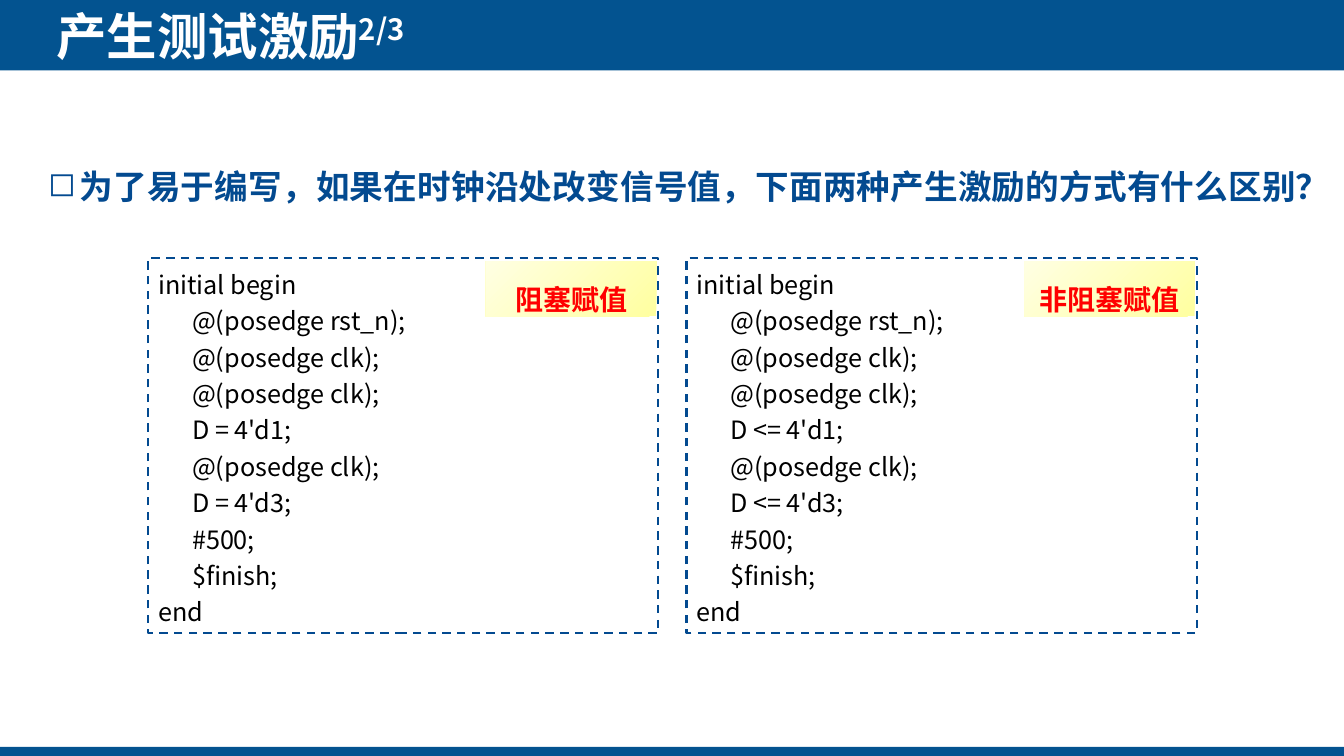
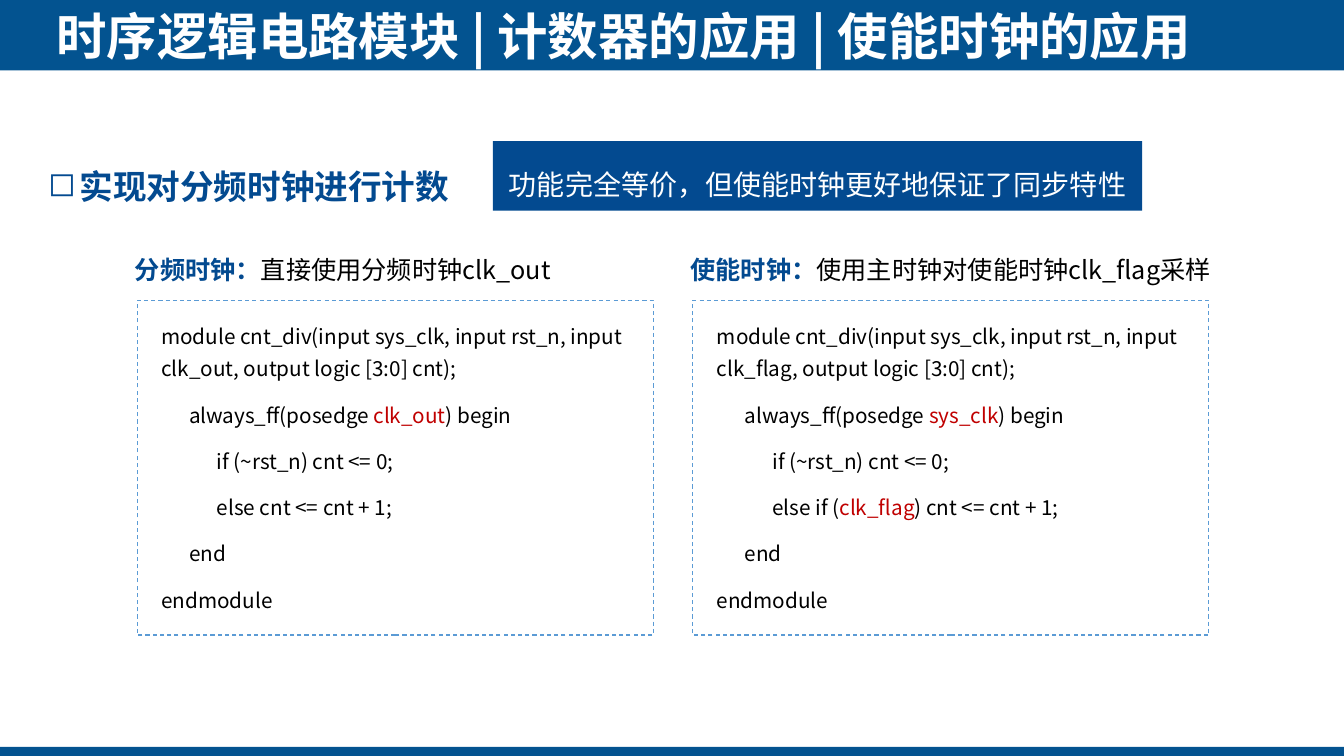
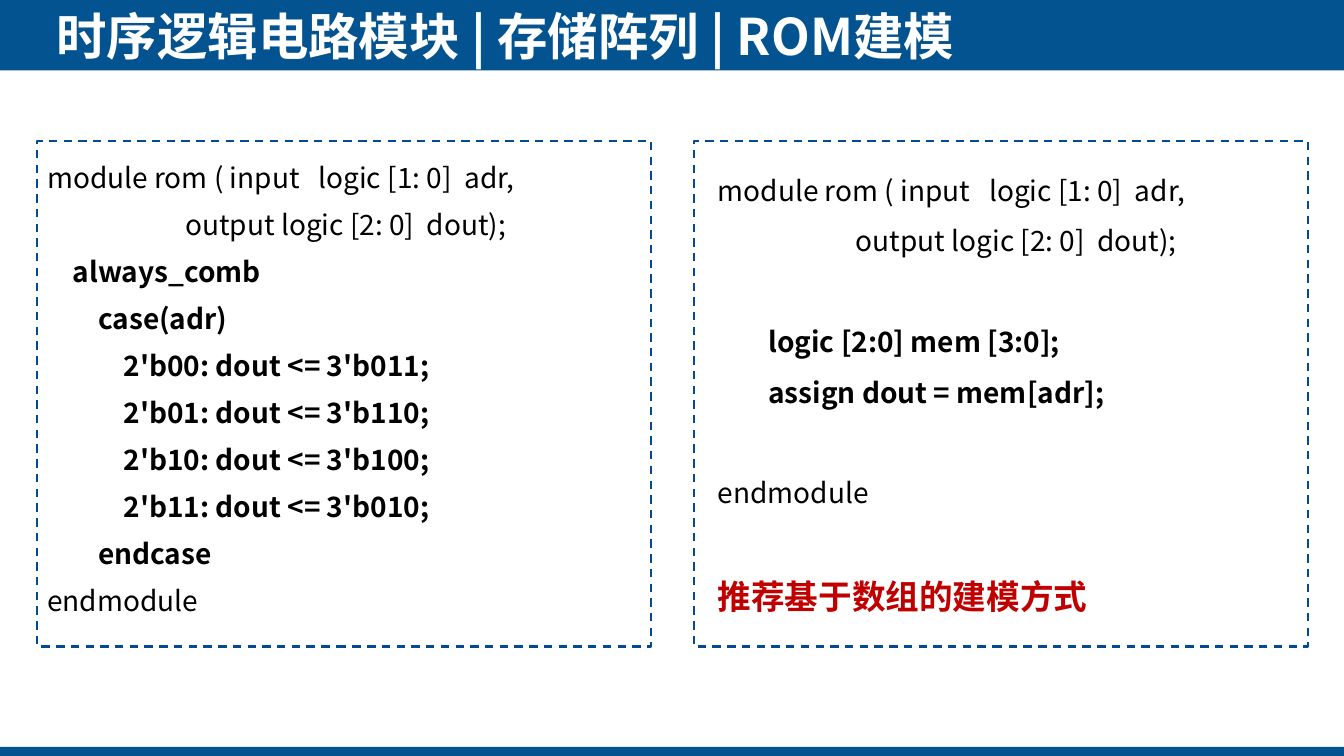
import lxml.etree
import pptx
import pptx.dml.color
import pptx.enum.dml
import pptx.enum.shapes
import pptx.enum.text
import pptx.oxml.ns
import pptx.util

Pt = pptx.util.Pt
Inches = pptx.util.Inches
RGBColor = pptx.dml.color.RGBColor
ALIGN = pptx.enum.text.PP_ALIGN
ANCHOR = pptx.enum.text.MSO_ANCHOR
qn = pptx.oxml.ns.qn

BAND = RGBColor(0x03, 0x53, 0x90)
NAVY = RGBColor(0x03, 0x4A, 0x90)
SKY = RGBColor(0x5B, 0x9B, 0xD5)
DARK_RED = RGBColor(0xC0, 0x00, 0x00)
RED = RGBColor(0xFF, 0x00, 0x00)
BLACK = RGBColor(0x00, 0x00, 0x00)
WHITE = RGBColor(0xFF, 0xFF, 0xFF)
YELLOW = RGBColor(0xFF, 0xFF, 0xA0)
CREAM = RGBColor(0xFF, 0xFF, 0xE3)
FONT = "Noto Sans CJK SC"

prs = pptx.Presentation()
prs.slide_width = Inches(13.33)
prs.slide_height = Inches(7.5)
COL = prs.slide_width / 100
ROW = prs.slide_height / 100

PADDED = {"margin_left": Inches(0.24), "margin_right": Inches(0.24),
          "margin_top": Inches(0.16), "margin_bottom": Inches(0.16)}
FLUSH = {"margin_left": 0, "margin_right": 0, "margin_top": 0, "margin_bottom": 0}
TITLE = {"size": Pt(36), "bold": True, "color": WHITE}
HEADING = {"size": Pt(24), "bold": True, "color": NAVY}


def write(tf, paras, layout, font):
    for i, runs in enumerate(paras):
        p = tf.paragraphs[0] if i == 0 else tf.add_paragraph()
        for key, value in layout.items():
            if i or key != "space_before":
                setattr(p, key, value)
        for text, changes in [(runs, {})] if isinstance(runs, str) else runs:
            r = p.add_run()
            r.text = text
            values = {"name": FONT, **font, **changes}
            r.font.color.rgb = values.pop("color")
            for key, value in values.items():
                setattr(r.font, key, value)
            lxml.etree.SubElement(r.font._element, qn("a:ea"), typeface=FONT)


def box(s, x, y, w, h, fill=None, line=None, width=1.5, frame={}):
    sp = s.shapes.add_shape(pptx.enum.shapes.MSO_SHAPE.RECTANGLE,
                            round(x * COL), round(y * ROW), round(w * COL), round(h * ROW))
    sp.shadow.inherit = False
    if fill is None:
        sp.fill.background()
    else:
        sp.fill.solid()
        sp.fill.fore_color.rgb = fill
    if line is None:
        sp.line.fill.background()
    else:
        sp.line.color.rgb = line
        sp.line.width = Pt(width)
        sp.line.dash_style = pptx.enum.dml.MSO_LINE.DASH
    for key, value in {"word_wrap": True, "vertical_anchor": ANCHOR.TOP, **frame}.items():
        setattr(sp.text_frame, key, value)
    sp.text_frame.paragraphs[0].alignment = ALIGN.LEFT
    return sp


TITLES = [
    [("产生测试激励", {}), ("2/3", {})],
    "时序逻辑电路模块 | 计数器的应用 | 使能时钟的应用",
    "时序逻辑电路模块 | 存储阵列 | ROM建模",
]
HEADINGS = ["为了易于编写，如果在时钟沿处改变信号值，下面两种产生激励的方式有什么区别？",
            "实现对分频时钟进行计数", None]

slides = []
for title, heading in zip(TITLES, HEADINGS):
    s = prs.slides.add_slide(prs.slide_layouts[5])
    slides.append(s)
    sp = s.shapes.title
    sp.left, sp.top = round(4.2 * COL), round(0.67 * ROW)
    sp.width, sp.height = round(90.5 * COL), round(8.13 * ROW)
    for key, value in {**FLUSH, "word_wrap": True, "vertical_anchor": ANCHOR.MIDDLE,
                       "auto_size": pptx.enum.text.MSO_AUTO_SIZE.NONE}.items():
        setattr(sp.text_frame, key, value)
    write(sp.text_frame, [title], {"alignment": ALIGN.LEFT}, TITLE)
    if heading:
        sp = box(s, 2.85, 18.67, 94.4, 8.53)
        pPr = sp.text_frame.paragraphs[0]._p.get_or_add_pPr()
        pPr.set("marL", str(Inches(0.31)))
        pPr.set("indent", str(-Inches(0.31)))
        buClr = lxml.etree.SubElement(pPr, qn("a:buClr"))
        lxml.etree.SubElement(buClr, qn("a:srgbClr"), val=str(NAVY))
        lxml.etree.SubElement(pPr, qn("a:buChar"), char="◻")
        write(sp.text_frame, [heading],
              {"alignment": ALIGN.JUSTIFY, "line_spacing": 1.5, "space_after": Pt(6)}, HEADING)

for i, (y, h) in enumerate([(0, 9.33), (98.8, 1.2)]):
    sp = box(slides[0], 0, y, 100, h, fill=BAND)
    sp.element.nvSpPr.cNvPr.set("id", str(101 + i))
    prs.slide_master.shapes.element.insert(2, sp.element)

s = slides[0]
slides[0].shapes.title.text_frame.paragraphs[0].runs[1].font._element.set("baseline", "30000")
for i, (label, op) in enumerate([("阻塞赋值", "="), ("非阻塞赋值", "<=")]):
    x = 11.03 + 40.05 * i
    code = [
        "initial begin",
        "      @(posedge rst_n);",
        "      @(posedge clk);",
        "      @(posedge clk);",
        f"      D {op} 4'd1;",
        "      @(posedge clk);",
        f"      D {op} 4'd3;",
        "      #500;",
        "      $finish;",
        "end",
    ]
    sp = box(s, x, 34.13, 37.96, 49.6, line=NAVY)
    write(sp.text_frame, code, {"line_spacing": Pt(26), "alignment": ALIGN.LEFT},
          {"size": Pt(18), "color": BLACK})
    sp = box(s, x + 25.13, 34.53, 12.68, 7.33)
    sp.fill.gradient()
    sp.fill.gradient_angle = 135
    for stop, color in zip(sp.fill.gradient_stops, (YELLOW, CREAM)):
        stop.color.rgb = color
    write(sp.text_frame, [label], {"line_spacing": Pt(36), "alignment": ALIGN.CENTER},
          {"size": Pt(20), "bold": True, "color": RED})

s = slides[1]
MARK = {"color": DARK_RED}
COUNTERS = [
    ("分频时钟：", "直接使用分频时钟clk_out", "clk_out", "clk_out",
     "            else cnt <= cnt + 1;"),
    ("使能时钟：", "使用主时钟对使能时钟clk_flag采样", "clk_flag", "sys_clk",
     [("            else if (", {}), ("clk_flag", MARK), (") cnt <= cnt + 1;", {})]),
]
for i, (name, usage, port, clock, count) in enumerate(COUNTERS):
    x = 10.2 + 41.34 * i
    code = [
        f"module cnt_div(input sys_clk, input rst_n, input {port}, output logic [3:0] cnt);",
        [("      always_ff(posedge ", {}), (clock, MARK), (") begin", {})],
        "            if (~rst_n) cnt <= 0;",
        count,
        "      end",
        "endmodule",
    ]
    sp = box(s, x, 39.73, 38.41, 44.27, line=SKY, width=0.75, frame=PADDED)
    write(sp.text_frame, code,
          {"line_spacing": 1.3, "space_before": Pt(10), "alignment": ALIGN.LEFT},
          {"size": Pt(14.8), "color": BLACK})
    sp = box(s, x - 0.9, 33.0, 41.5, 5.33)
    write(sp.text_frame, [[(name, {"color": NAVY, "bold": True}), (usage, {})]],
          {"alignment": ALIGN.JUSTIFY}, {"size": Pt(18), "color": BLACK})

sp = box(s, 36.68, 18.67, 48.31, 9.2, fill=NAVY, frame={"vertical_anchor": ANCHOR.MIDDLE})
write(sp.text_frame, ["功能完全等价，但使能时钟更好地保证了同步特性"],
      {"line_spacing": 1.5, "alignment": ALIGN.CENTER}, {"size": Pt(20), "color": WHITE})

s = slides[2]
BOLD = {"bold": True}
ports = ["module rom ( input   logic [1: 0]  adr,",
         "                      output logic [2: 0]  dout);"]
case_body = ["    always_comb", "        case(adr)"]
for adr, dout in [("00", "011"), ("01", "110"), ("10", "100"), ("11", "010")]:
    case_body.append(f"            2'b{adr}: dout <= 3'b{dout};")
case_body.append("        endcase")
array_body = ["\tlogic [2:0] mem [3:0];", "\tassign dout = mem[adr];"]
ROMS = [
    (case_body, 1.4, {"vertical_anchor": ANCHOR.MIDDLE, "margin_bottom": Inches(0.27)}),
    (array_body, 1.5, PADDED),
]
for i, (body, spacing, frame) in enumerate(ROMS):
    sp = box(s, 2.78 + 48.83 * i, 18.6, 45.69, 66.93, line=NAVY, frame=frame)
    write(sp.text_frame, ports + [[(text, BOLD)] for text in body] + ["endmodule"],
          {"line_spacing": spacing, "alignment": ALIGN.LEFT},
          {"size": Pt(20), "color": BLACK})
for i in (2, 4):
    sp.text_frame.paragraphs[i].space_before = Pt(36)

sp = box(s, 52.66, 75.47, 31.13, 6.67)
write(sp.text_frame, ["推荐基于数组的建模方式"], {"alignment": ALIGN.LEFT},
      {**HEADING, "color": DARK_RED})

prs.save("out.pptx")
